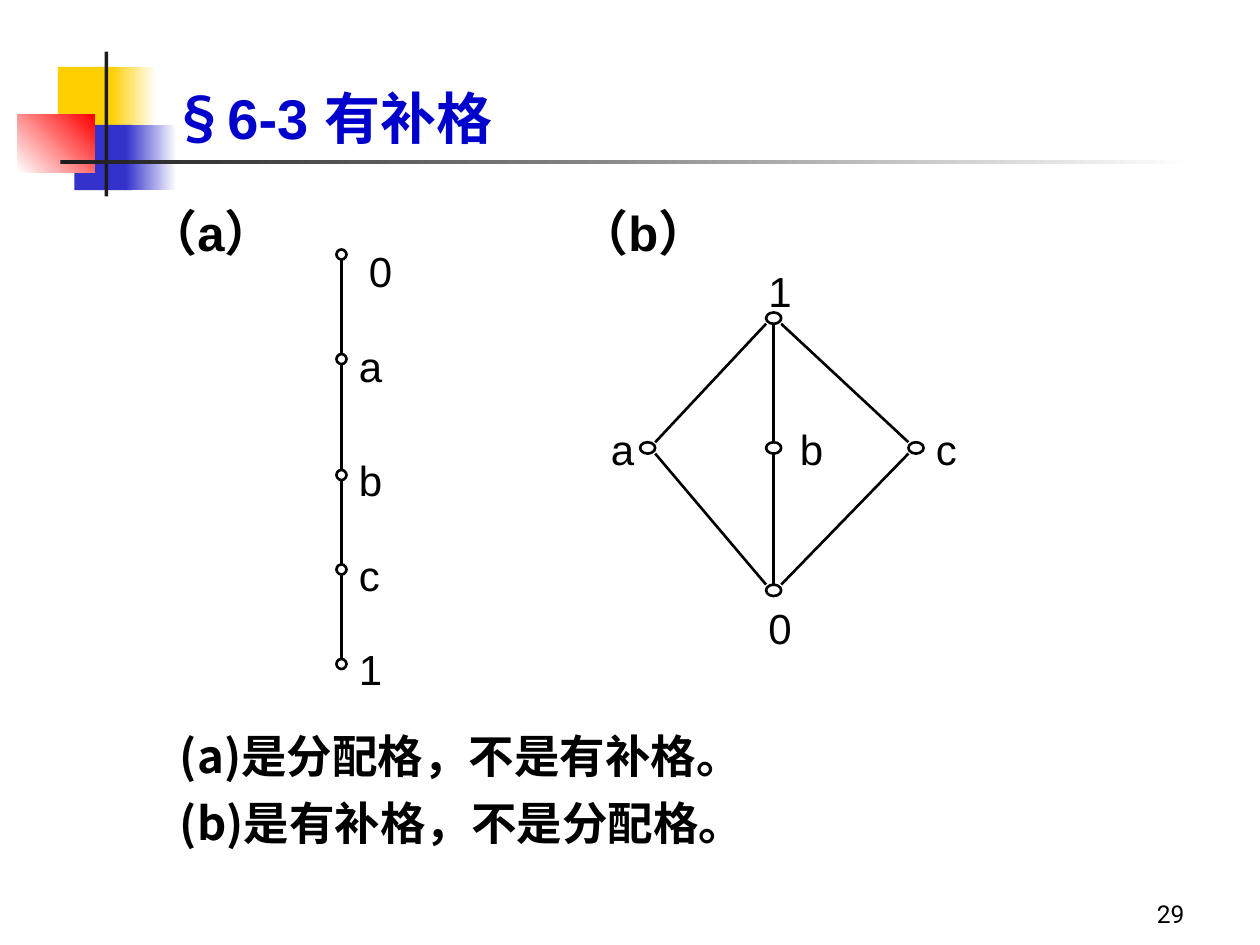
from lxml.etree import SubElement
from pptx import Presentation
from pptx.dml.color import RGBColor
from pptx.enum.shapes import MSO_CONNECTOR, MSO_SHAPE
from pptx.enum.text import MSO_ANCHOR, MSO_AUTO_SIZE, PP_ALIGN
from pptx.oxml.ns import qn
from pptx.util import Pt

PX = 9144
BLACK = RGBColor(0x00, 0x00, 0x00)
WHITE = RGBColor(0xFF, 0xFF, 0xFF)
YELLOW = RGBColor(0xFF, 0xCF, 0x01)
INDIGO = RGBColor(0x33, 0x33, 0xCC)
RED = RGBColor(0xFF, 0x00, 0x00)
CHARCOAL = RGBColor(0x1C, 0x1C, 0x1C)
TITLE_BLUE = RGBColor(0x00, 0x00, 0xCC)
LATIN = "Arial"
HAN = "Noto Sans CJK SC"

FRAME = {"word_wrap": True, "auto_size": MSO_AUTO_SIZE.NONE}
TITLE = {"size": Pt(32), "bold": True}
LABEL = {"size": Pt(24), "name": LATIN}
CAPTION = {"size": Pt(28), "name": LATIN, "bold": True}
CONCLUSION = {"size": Pt(26), "name": HAN, "bold": True}
PAGE = {"size": Pt(14), "name": "Roboto"}


def emu(*lengths):
    return [length * PX for length in lengths]


def apply(target, values):
    for key, value in values.items():
        setattr(target, key, value)


def add_run(paragraph, words, values, color=BLACK):
    run = paragraph.add_run()
    run.text = words
    apply(run.font, values)
    run.font.color.rgb = color
    SubElement(run.font._element, qn("a:ea")).set("typeface", HAN)


def add_text(shapes, box, lines, font, frame_values={}, paragraph_values={}):
    frame = shapes.add_textbox(*emu(*box)).text_frame
    apply(frame, {**FRAME, **frame_values})
    for index, words in enumerate(lines):
        paragraph = frame.add_paragraph() if index else frame.paragraphs[0]
        apply(paragraph, paragraph_values)
        add_run(paragraph, words, font)


def add_block(shapes, box, start, end=None, angle=0):
    block = shapes.add_shape(MSO_SHAPE.RECTANGLE, *emu(*box))
    block.shadow.inherit = False
    block.line.fill.background()
    if end is None:
        block.fill.solid()
        block.fill.fore_color.rgb = start
        return
    block.fill.gradient()
    block.fill.gradient_angle = angle
    for stop, color in zip(block.fill.gradient_stops, (start, end)):
        stop.color.rgb = color


def add_emblem(shapes, left, top):
    for x, y, width, height, *paint in (
        (32, 12, 48, 52, YELLOW),
        (74, 12, 36, 52, YELLOW, WHITE),
        (45, 58, 46, 52, INDIGO),
        (86, 58, 40, 52, INDIGO, WHITE),
        (0, 50, 61, 46, WHITE, RED, 45),
        (69, 0, 3, 115, CHARCOAL),
        (34, 86, 900, 3, CHARCOAL, WHITE),
    ):
        add_block(shapes, (left + x, top + y, width, height), *paint)


def add_title(title, box):
    apply(title, dict(zip(("left", "top", "width", "height"), emu(*box))))
    frame = title.text_frame
    apply(frame, {**FRAME, "vertical_anchor": MSO_ANCHOR.BOTTOM})
    heading = frame.paragraphs[0]
    heading.alignment = PP_ALIGN.LEFT
    for words, name in (("§", HAN), ("6-3 ", LATIN), ("有补格", HAN)):
        add_run(heading, words, {**TITLE, "name": name}, TITLE_BLUE)


def add_edge(shapes, start, end):
    edge = shapes.add_connector(MSO_CONNECTOR.STRAIGHT, *emu(*start, *end))
    apply(edge.line, {"width": Pt(1.5)})
    edge.line.color.rgb = BLACK
    SubElement(edge._element.spPr, qn("a:effectLst"))


def add_lattice(slide, origin, node_size, nodes, links):
    shapes = slide.shapes.add_group_shape().shapes
    left, top = origin
    width, height = node_size
    for label, (x, y, label_x, label_y) in nodes.items():
        box = (left + x, top + y, width, height)
        node = shapes.add_shape(MSO_SHAPE.OVAL, *emu(*box))
        node.shadow.inherit = False
        node.fill.background()
        node.line.color.rgb = BLACK
        node.line.width = Pt(1.5)
        add_text(shapes, (box[0] + label_x, box[1] + label_y, 58, 50), [label], LABEL)
    for upper, lower in links:
        upper_x, upper_y = nodes[upper][:2]
        lower_x, lower_y = nodes[lower][:2]
        side = (lower_x > upper_x) - (lower_x < upper_x)
        middle, reach = left + width // 2, side * width // 2
        add_edge(
            shapes,
            (middle + upper_x + reach, top + upper_y + height),
            (middle + lower_x - reach, top + lower_y),
        )


def add_chain(slide, left, top):
    nodes = {
        "0": (0, 8, 16, -8),
        "a": (0, 91, 8, -16),
        "b": (0, 183, 8, -17),
        "c": (0, 258, 8, -17),
        "1": (0, 333, 8, -17),
    }
    order = list(nodes)
    add_lattice(slide, (left, top), (8, 8), nodes, zip(order, order[1:]))


def add_diamond(slide, left, top):
    nodes = {
        "1": (133, 42, -8, -42),
        "a": (33, 145, -33, -20),
        "b": (133, 145, 17, -20),
        "c": (246, 145, 12, -20),
        "0": (133, 258, -8, 9),
    }
    links = [link for atom in "abc" for link in (("1", atom), (atom, "0"))]
    add_lattice(slide, (left, top), (12, 9), nodes, links)


def main():
    deck = Presentation()
    apply(deck, dict(zip(("slide_width", "slide_height"), emu(1000, 750))))
    slide = deck.slides.add_slide(deck.slide_layouts[5])
    shapes = slide.shapes
    add_emblem(shapes, 14, 41)
    add_title(shapes.title, (126, 0, 852, 125))
    add_diamond(slide, 475, 206)
    add_chain(slide, 267, 190)
    for left, caption in ((108, "（a）"), (450, "（b）")):
        add_text(shapes, (left, 156, 142, 57), [caption], CAPTION)
    add_text(
        shapes, (133, 573, 533, 119),
        ["(a)是分配格，不是有补格。", "(b)是有补格，不是分配格。"],
        CONCLUSION, paragraph_values={"space_after": Pt(7)},
    )
    add_text(
        shapes, (742, 692, 208, 50), ["29"], PAGE,
        {"vertical_anchor": MSO_ANCHOR.BOTTOM}, {"alignment": PP_ALIGN.RIGHT},
    )
    deck.save("out.pptx")


if __name__ == "__main__":
    main()
